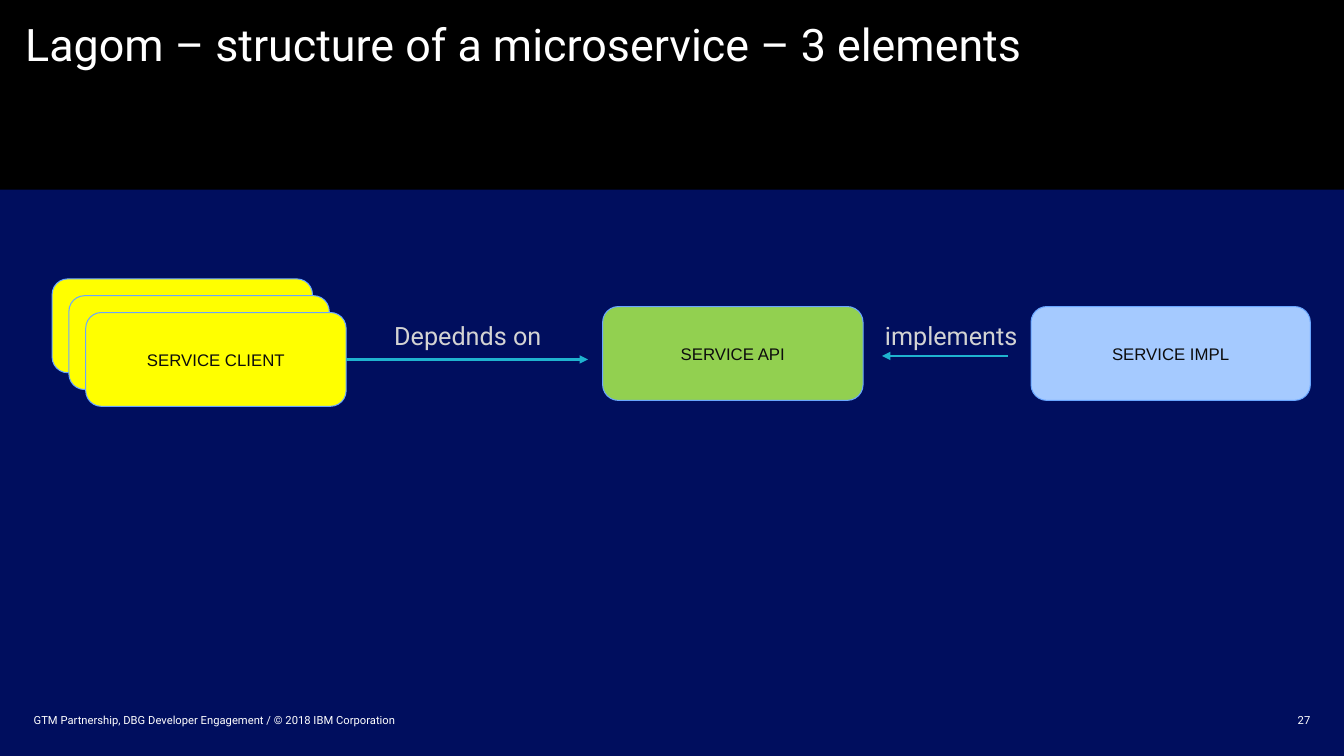
from lxml.etree import SubElement
from pptx import Presentation
from pptx.dml.color import RGBColor
from pptx.enum.shapes import MSO_CONNECTOR, MSO_SHAPE
from pptx.enum.text import MSO_ANCHOR, MSO_AUTO_SIZE, PP_ALIGN
from pptx.oxml.ns import qn
from pptx.util import Pt

NAVY = RGBColor(0x00, 0x0E, 0x5E)
BLACK = RGBColor(0x00, 0x00, 0x00)
WHITE = RGBColor(0xFF, 0xFF, 0xFF)
YELLOW = RGBColor(0xFF, 0xFF, 0x00)
GREEN = RGBColor(0x92, 0xD0, 0x50)
LIGHT_BLUE = RGBColor(0xA5, 0xCA, 0xFF)
OUTLINE_BLUE = RGBColor(0x69, 0xA6, 0xFF)
TEAL = RGBColor(0x1F, 0xB3, 0xCF)
LABEL_GREY = RGBColor(0xD3, 0xD3, 0xD3)
NEAR_BLACK = RGBColor(0x0D, 0x0D, 0x0D)

BOX_HEIGHT = 67
CLIENT_WIDTH = 186
STACK_STEP = 12


def set_margins(frame, left=0, top=0, right=0, bottom=0):
    frame.margin_left, frame.margin_top = Pt(left), Pt(top)
    frame.margin_right, frame.margin_bottom = Pt(right), Pt(bottom)


def write(frame, text, size, color, font="Roboto", align=PP_ALIGN.LEFT):
    paragraph = frame.paragraphs[0]
    paragraph.text = text
    paragraph.alignment = align
    paragraph.font.name = font
    paragraph.font.size = Pt(size)
    paragraph.font.color.rgb = color
    return paragraph


def format_title(title, text):
    title.left, title.top, title.width, title.height = Pt(0), Pt(0), Pt(960), Pt(135.5)
    title.fill.solid()
    title.fill.fore_color.rgb = BLACK
    frame = title.text_frame
    frame.auto_size = MSO_AUTO_SIZE.NONE
    frame.vertical_anchor = MSO_ANCHOR.TOP
    set_margins(frame, 18, 16, 18, 18)
    write(frame, text, 32, WHITE).line_spacing = 0.9


def add_footer(slide, text, left, width, align):
    box = slide.shapes.add_textbox(Pt(left), Pt(507), Pt(width), Pt(14.5))
    frame = box.text_frame
    frame.word_wrap = True
    frame.vertical_anchor = MSO_ANCHOR.MIDDLE
    set_margins(frame)
    write(frame, text, 8, WHITE, align=align)


def add_service_box(slide, left, top, width, fill, text=""):
    box = slide.shapes.add_shape(
        MSO_SHAPE.ROUNDED_RECTANGLE, Pt(left), Pt(top), Pt(width), Pt(BOX_HEIGHT))
    box.shadow.inherit = False
    box.fill.solid()
    box.fill.fore_color.rgb = fill
    box.line.color.rgb = OUTLINE_BLUE
    box.line.width = Pt(0.75)
    if text:
        frame = box.text_frame
        frame.vertical_anchor = MSO_ANCHOR.MIDDLE
        set_margins(frame)
        write(frame, text, 12, NEAR_BLACK, "Arial", PP_ALIGN.CENTER)
    return box


def add_arrow(slide, start, end, y):
    arrow = slide.shapes.add_connector(
        MSO_CONNECTOR.STRAIGHT, Pt(start), Pt(y), Pt(end), Pt(y))
    arrow.line.color.rgb = TEAL
    arrow.line.width = Pt(2)
    SubElement(arrow.line._get_or_add_ln(), qn("a:tailEnd"), type="triangle")
    SubElement(arrow._element.spPr, qn("a:effectLst"))
    return arrow


def add_label(slide, text, left, width):
    box = slide.shapes.add_textbox(Pt(left), Pt(225.5), Pt(width), Pt(29))
    frame = box.text_frame
    frame.word_wrap = False
    frame.auto_size = MSO_AUTO_SIZE.SHAPE_TO_FIT_TEXT
    write(frame, text, 18, LABEL_GREY)


def main():
    presentation = Presentation()
    presentation.slide_width, presentation.slide_height = Pt(960), Pt(540)
    slide = presentation.slides.add_slide(presentation.slide_layouts[5])
    slide.background.fill.solid()
    slide.background.fill.fore_color.rgb = NAVY

    # Title band and footer
    format_title(slide.shapes.title, "Lagom – structure of a microservice – 3 elements")
    add_footer(slide, "27", 720, 216, PP_ALIGN.RIGHT)
    add_footer(slide, "GTM Partnership, DBG Developer Engagement / © 2018 IBM Corporation",
               24, 672, PP_ALIGN.LEFT)

    # Stack of clients, front one last
    for index, text in enumerate(("", "", "SERVICE CLIENT")):
        offset = index * STACK_STEP
        client = add_service_box(
            slide, 37.25 + offset, 199.25 + offset, CLIENT_WIDTH, YELLOW, text)

    # Service interface and implementation
    add_service_box(slide, 430.5, 219, CLIENT_WIDTH, GREEN, "SERVICE API")
    add_service_box(slide, 736.5, 219, 199.5, LIGHT_BLUE, "SERVICE IMPL")

    # Relations
    depends_arrow = add_arrow(slide, 247.25, 420, 256.75)
    depends_arrow.begin_connect(client, 3)
    add_arrow(slide, 720, 630, 254.25)
    add_label(slide, "Depednds on", 274.5, 122.5)
    add_label(slide, "implements", 625, 112.5)

    presentation.save("out.pptx")


if __name__ == "__main__":
    main()
